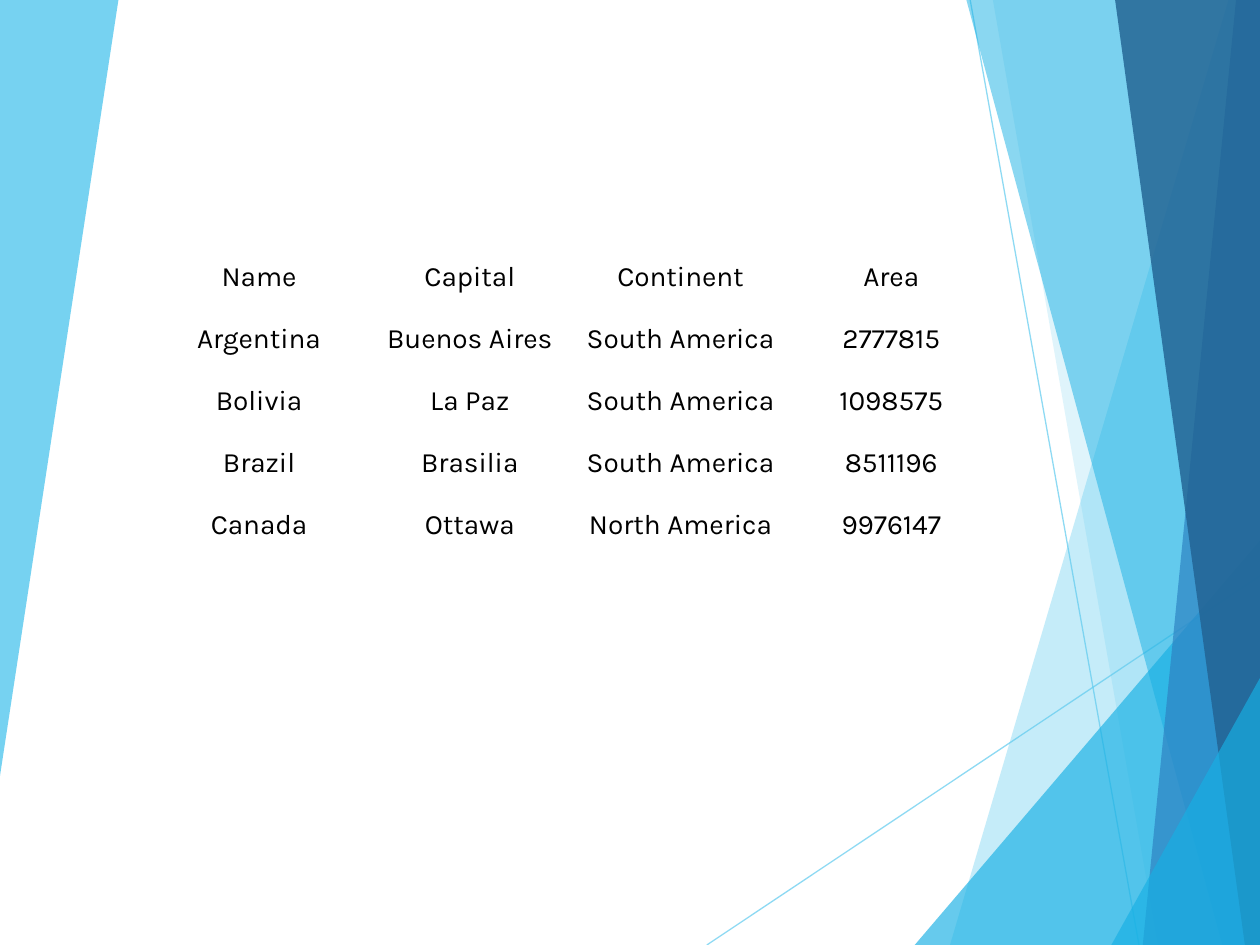
from lxml import etree
from pptx import Presentation
from pptx.dml.color import RGBColor
from pptx.enum.shapes import MSO_CONNECTOR
from pptx.enum.text import MSO_ANCHOR, PP_ALIGN
from pptx.oxml.ns import qn
from pptx.util import Inches, Pt

SKY, CYAN, BLUE, NAVY = "5FCBEF", "17B0E4", "2E83C3", "226292"
WIDTH, HEIGHT = 10, 7.5

# Lines: start and end points
RAYS = [((5.61, 7.5), (10, 4.57)), ((7.7, 0), (9.04, 7.5))]

# Facets from back to front: colour, opacity in percent, corners
FACETS = [
    (SKY, 36, [(9.75, 0), (7.54, 7.5), (10, 7.5), (10, 0)]),
    (SKY, 20, [(7.88, 0), (9.19, 7.5), (10, 7.5), (10, 0)]),
    (CYAN, 66, [(7.26, 7.5), (10, 4.29), (10, 7.5)]),
    (CYAN, 50, [(7.67, 0), (9.7, 7.5), (10, 7.5), (10, 0)]),
    (BLUE, 70, [(9.81, 0), (9.07, 7.5), (10, 7.5), (10, 0)]),
    (NAVY, 82, [(8.85, 0), (9.88, 7.5), (10, 7.5), (10, 0)]),
    (CYAN, 66, [(8.82, 7.5), (10, 5.38), (10, 7.5)]),
    (SKY, 85, [(0, 0), (0.94, 0), (0, 6.16)]),
]

COUNTRIES = [
    ("Name", "Capital", "Continent", "Area"),
    ("Argentina", "Buenos Aires", "South America", "2777815"),
    ("Bolivia", "La Paz", "South America", "1098575"),
    ("Brazil", "Brasilia", "South America", "8511196"),
    ("Canada", "Ottawa", "North America", "9976147"),
]


def paint(fill, color, opacity=100):
    """Give a fill a solid colour with the given opacity."""
    fill.solid()
    fill.fore_color.rgb = RGBColor.from_string(color)
    if opacity < 100:
        color_node = fill._xPr.find(qn("a:solidFill"))[0]
        alpha = etree.SubElement(color_node, qn("a:alpha"))
        alpha.set("val", str(opacity * 1000))


def add_backdrop(slide, left, top):
    """Draw the thin rays and the translucent facets."""
    def place(point):
        return Inches(left + point[0]), Inches(top + point[1])

    for start, end in RAYS:
        ray = slide.shapes.add_connector(
            MSO_CONNECTOR.STRAIGHT, *place(start), *place(end))
        ray.line.width = Pt(0.75)
        paint(ray.line.fill, SKY, 70)
        etree.SubElement(ray._element.spPr, qn("a:effectLst"))

    for color, opacity, corners in FACETS:
        first, *others = [place(corner) for corner in corners]
        builder = slide.shapes.build_freeform(*first)
        builder.add_line_segments(others, close=True)
        facet = builder.convert_to_shape()
        facet.shadow.inherit = False
        facet.line.fill.background()
        paint(facet.fill, color, opacity)


def add_country_table(slide, left, top, width, height):
    """Place the plain table, with a slightly lower first row."""
    row_count, column_count = len(COUNTRIES), len(COUNTRIES[0])
    table = slide.shapes.add_table(
        row_count, column_count, Inches(left), Inches(top),
        Inches(width), Inches(height)).table
    table.first_row = table.horz_banding = False
    first_height = 0.47
    row_height = (height - first_height) / (row_count - 1)

    for r, values in enumerate(COUNTRIES):
        table.rows[r].height = Inches(row_height if r else first_height)
        for c, value in enumerate(values):
            cell = table.cell(r, c)
            cell.fill.background()
            cell.vertical_anchor = MSO_ANCHOR.BOTTOM
            cell.margin_left = cell.margin_right = cell.margin_top = Inches(0.01)
            cell.margin_bottom = 0
            paragraph = cell.text_frame.paragraphs[0]
            paragraph.alignment = PP_ALIGN.CENTER
            run = paragraph.add_run()
            run.text = value
            run.font.name = "Karla"
            run.font.size = Pt(16)
            paint(run.font.fill, "000000")


prs = Presentation()
prs.slide_width, prs.slide_height = Inches(WIDTH), Inches(HEIGHT)
slide = prs.slides.add_slide(prs.slide_layouts[6])
paint(slide.background.fill, "FFFFFF")
add_backdrop(slide, 0, 0)
add_country_table(slide, 1.22, 1.86, 6.69, 2.44)
prs.save("out.pptx")
